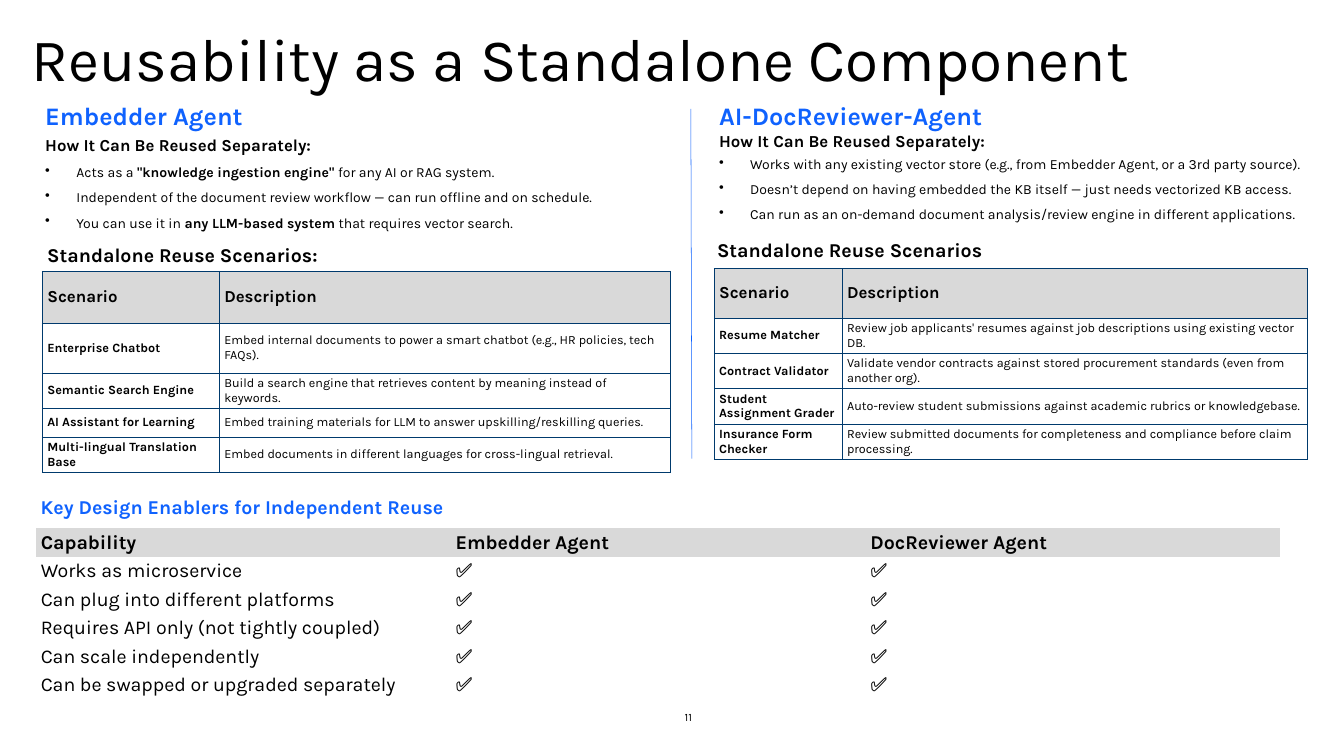
from dataclasses import dataclass

from lxml import etree
from pptx import Presentation
from pptx.dml.color import RGBColor
from pptx.enum.shapes import MSO_CONNECTOR, MSO_SHAPE
from pptx.enum.text import MSO_ANCHOR, MSO_AUTO_SIZE, PP_ALIGN
from pptx.oxml.ns import qn
from pptx.util import Cm, Pt

TOP, MIDDLE, BOTTOM = MSO_ANCHOR.TOP, MSO_ANCHOR.MIDDLE, MSO_ANCHOR.BOTTOM
LEFT, RIGHT = PP_ALIGN.LEFT, PP_ALIGN.RIGHT
GROW = MSO_AUTO_SIZE.SHAPE_TO_FIT_TEXT
FIXED = MSO_AUTO_SIZE.NONE
STRAIGHT = MSO_CONNECTOR.STRAIGHT
RECTANGLE = MSO_SHAPE.RECTANGLE


@dataclass(frozen=True)
class Theme:
    font: str = "Karla"
    ink: str = "000000"
    accent: str = "0F62FE"
    divider: str = "095EFE"
    border: str = "003A6D"
    header: str = "D9D9D9"
    paper: str = "FFFFFF"
    title: int = 86
    agent: int = 36
    section: int = 28
    lead: int = 24
    body: int = 20
    cell: int = 18
    number: int = 16


THEME = Theme()
REUSE_LEAD = "How It Can Be Reused Separately:"
SCENARIO_HEADER = ("Scenario", "Description")
EMBEDDER_POINTS = [
    'Acts as a **"knowledge ingestion engine"** for any AI or RAG system.',
    "Independent of the document review workflow — can run offline and on schedule.",
    "You can use it in **any LLM-based system** that requires vector search.",
]
EMBEDDER_SCENARIOS = [
    ("Enterprise Chatbot", "Embed internal documents to power a smart chatbot (e.g., HR policies, tech FAQs)."),
    ("Semantic Search Engine", "Build a search engine that retrieves content by meaning instead of keywords."),
    ("AI Assistant for Learning", "Embed training materials for LLM to answer upskilling/reskilling queries."),
    ("Multi-lingual Translation Base", "Embed documents in different languages for cross-lingual retrieval."),
]
REVIEWER_POINTS = [
    "Works with any existing vector store (e.g., from Embedder Agent, or a 3rd party source).",
    "Doesn’t depend on having embedded the KB itself — just needs vectorized KB access.",
    "Can run as an on-demand document analysis/review engine in different applications.",
]
REVIEWER_SCENARIOS = [
    ("Resume Matcher", "Review job applicants' resumes against job descriptions using existing vector DB."),
    ("Contract Validator", "Validate vendor contracts against stored procurement standards (even from another org)."),
    ("Student Assignment Grader", "Auto-review student submissions against academic rubrics or knowledgebase."),
    ("Insurance Form Checker", "Review submitted documents for completeness and compliance before claim processing."),
]
CAPABILITIES = [
    "Works as microservice",
    "Can plug into different platforms",
    "Requires API only (not tightly coupled)",
    "Can scale independently",
    "Can be swapped or upgraded separately",
]


def rgb(color):
    return RGBColor.from_string(color)


def apply(target, formats):
    for attribute, value in formats.items():
        setattr(target, attribute, value)


def write(paragraph, text, size, color=THEME.ink, bold=False, align=LEFT, gap=0):
    apply(paragraph, {"alignment": align, "space_before": Pt(gap), "space_after": Pt(gap)})
    for index, part in enumerate(text.split("**")):
        run = paragraph.add_run()
        run.text = part
        strong = bold or index % 2 == 1
        apply(run.font, {"name": THEME.font, "size": Pt(size), "bold": strong})
        run.font.color.rgb = rgb(color)


def set_frame(frame, anchor, fit=GROW, inset=None):
    apply(frame, {"word_wrap": True, "vertical_anchor": anchor, "auto_size": fit})
    if inset is not None:
        sides = ("left", "top", "right", "bottom")
        apply(frame, {f"margin_{side}": Cm(inset) for side in sides})


def add_text(slide, box, text, size, anchor=MIDDLE, fit=GROW, inset=None, **style):
    frame = slide.shapes.add_textbox(*map(Cm, box)).text_frame
    set_frame(frame, anchor, fit, inset)
    write(frame.paragraphs[0], text, size, **style)


def add_banner(slide, box, text):
    banner = slide.shapes.add_shape(RECTANGLE, *map(Cm, box))
    banner.shadow.inherit = False
    banner.fill.solid()
    banner.fill.fore_color.rgb = rgb(THEME.paper)
    banner.line.fill.background()
    set_frame(banner.text_frame, MIDDLE)
    write(banner.text_frame.paragraphs[0], text, THEME.section, THEME.accent, True)


def add_bullet(paragraph, text):
    write(paragraph, text, THEME.body, gap=6)
    properties = paragraph._p.get_or_add_pPr()
    indent = Cm(1.57)
    properties.set("marL", str(indent))
    properties.set("indent", str(-indent))
    etree.SubElement(properties, qn("a:buChar")).set("char", "•")


def add_agent(slide, box, name, points, lead_gap):
    frame = slide.shapes.add_textbox(*map(Cm, box)).text_frame
    set_frame(frame, TOP)
    write(frame.paragraphs[0], name, THEME.agent, THEME.accent, True)
    write(frame.add_paragraph(), REUSE_LEAD, THEME.lead, bold=True, gap=lead_gap)
    for point in points:
        add_bullet(frame.add_paragraph(), point)


def set_borders(cell, color):
    properties = cell._tc.get_or_add_tcPr()
    for position, side in enumerate(("lnL", "lnR", "lnT", "lnB")):
        edge = etree.Element(qn(f"a:{side}"), w=str(Pt(1)))
        if color:
            paint = etree.SubElement(edge, qn("a:solidFill"))
            etree.SubElement(paint, qn("a:srgbClr")).set("val", color)
        else:
            etree.SubElement(edge, qn("a:noFill"))
        properties.insert(position, edge)


def add_grid(slide, corner, widths, heights, rows, header_size, size, bold_columns, border=None):
    box = (*corner, sum(widths), sum(heights))
    table = slide.shapes.add_table(len(rows), len(widths), *map(Cm, box)).table
    apply(table, {"first_row": False, "horz_banding": False})
    for column, width in zip(table.columns, widths):
        column.width = Cm(width)
    for r, (row, height, texts) in enumerate(zip(table.rows, heights, rows)):
        row.height = Cm(height)
        for c, (cell, text) in enumerate(zip(row.cells, texts)):
            is_header = r == 0
            cell.vertical_anchor = MIDDLE
            if is_header:
                cell.fill.solid()
                cell.fill.fore_color.rgb = rgb(THEME.header)
            else:
                cell.fill.background()
            set_borders(cell, border)
            write(cell.text_frame.paragraphs[0], text, header_size if is_header else size,
                  bold=is_header or c in bold_columns)


def add_scenarios(slide, corner, widths, heights, scenarios):
    add_grid(slide, corner, widths, heights, [SCENARIO_HEADER, *scenarios],
             THEME.lead, THEME.cell, {0}, THEME.border)


def add_divider(slide, start, end):
    divider = slide.shapes.add_connector(STRAIGHT, *map(Cm, (*start, *end)))
    divider.line.color.rgb = rgb(THEME.divider)
    divider.line.width = Pt(0.75)
    etree.SubElement(divider._element.spPr, qn("a:effectLst"))


def main():
    deck = Presentation()
    apply(deck, {"slide_width": Cm(67.74), "slide_height": Cm(38.1)})
    slide = deck.slides.add_slide(deck.slide_layouts[6])

    add_text(slide, (1.6, 1.07, 64.34, 2.08), "Reusability as a Standalone Component",
             THEME.title, TOP, FIXED, 0)
    add_text(slide, (33.38, 35.81, 1.5, 0.69), "11", THEME.number, BOTTOM, inset=0, align=RIGHT)

    add_agent(slide, (2.03, 4.95, 31.75, 6.88), "Embedder Agent", EMBEDDER_POINTS, 6)
    add_scenarios(slide, (2.13, 13.67), (8.92, 22.73), (2.62, 2.51, 1.45, 1.45, 1.45), EMBEDDER_SCENARIOS)
    add_text(slide, (2.13, 12.09, 32.74, 1.45), "Standalone Reuse Scenarios:", THEME.section, bold=True)

    add_agent(slide, (35.99, 4.95, 30.99, 6.45), "AI-DocReviewer-Agent", REVIEWER_POINTS, 0)
    add_scenarios(slide, (35.99, 13.54), (6.45, 23.47), (2.49, *[1.75] * 4), REVIEWER_SCENARIOS)
    add_text(slide, (35.89, 11.84, 25.96, 1.45), "Standalone Reuse Scenarios", THEME.section, bold=True)

    add_divider(slide, (34.82, 5.49), (34.87, 23.11))

    capability_rows = [("Capability", "Embedder Agent", "DocReviewer Agent")]
    capability_rows += [(capability, "✅", "✅") for capability in CAPABILITIES]
    add_grid(slide, (1.8, 26.62), [20.91] * 3, [1.44] * len(capability_rows), capability_rows,
             THEME.section, THEME.section, set())
    add_banner(slide, (1.8, 24.82, 64.14, 1.45), "Key Design Enablers for Independent Reuse")
    deck.save("out.pptx")


if __name__ == "__main__":
    main()
